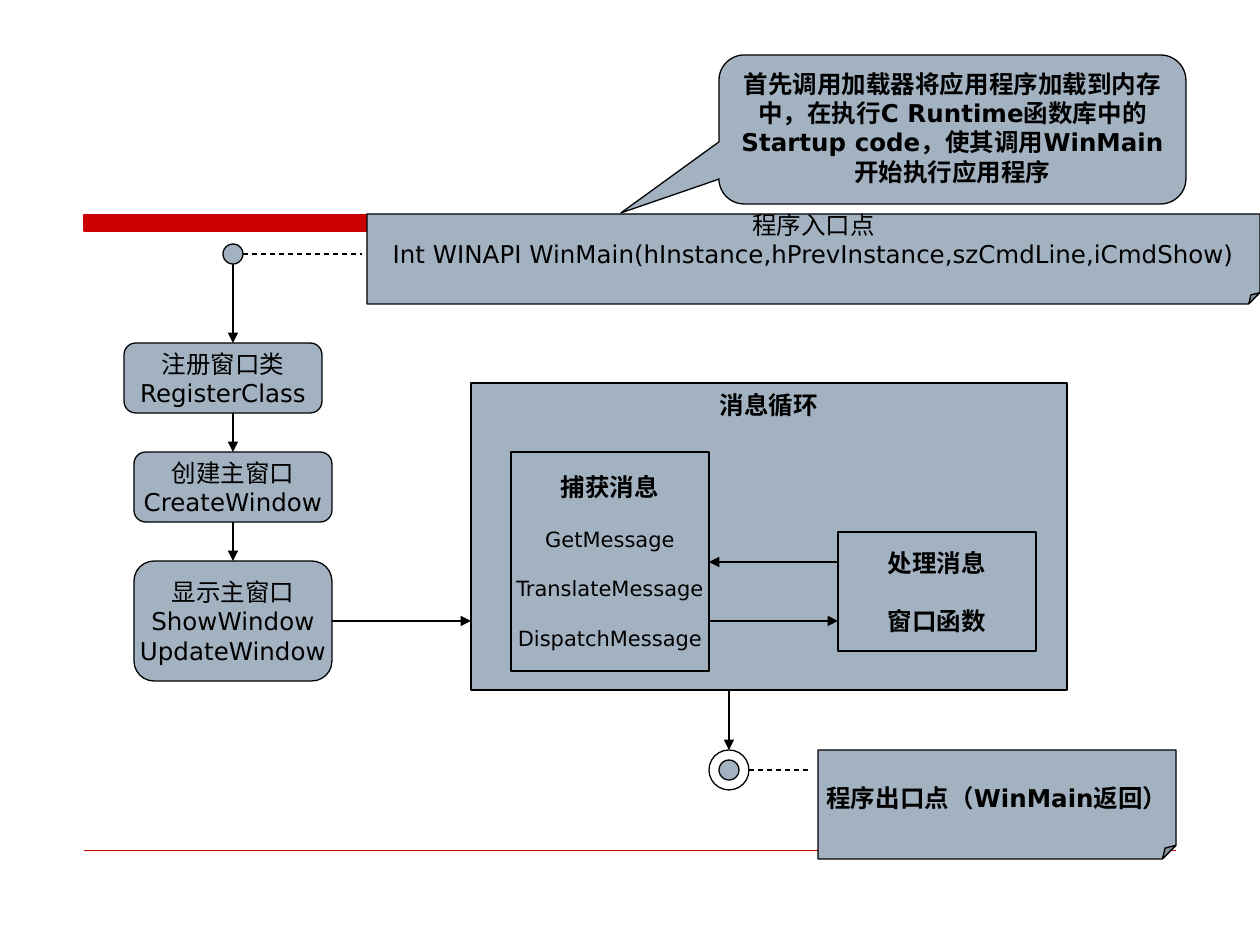
from lxml import etree
from pptx import Presentation
from pptx import util as u
from pptx.dml.color import RGBColor
from pptx.enum import dml, shapes, text
from pptx.oxml.ns import qn

SCALE = u.Inches(1) / 126
FONT = "DejaVu Sans"
COLORS = {"box": "A3B2C1", "ink": "000000", "accent": "CC0000"}
TITLE = {"size": u.Pt(14), "bold": True}
PLAIN = {"size": u.Pt(14), "bold": False}
CALL = {"size": u.Pt(12), "bold": False}
KIND = shapes.MSO_SHAPE
STEP = KIND.FLOWCHART_ALTERNATE_PROCESS


def px(value):
    return u.Emu(round(value * SCALE))


def color(name):
    return RGBColor.from_string(COLORS[name])


def set_line(line, name="ink", width=0.75):
    line.color.rgb = color(name)
    line.width = u.Pt(width)


def add_box(parent, kind, bounds, fill="box"):
    shape = parent.add_shape(kind, *map(px, bounds))
    shape.shadow.inherit = False
    if fill:
        shape.fill.solid()
        shape.fill.fore_color.rgb = color(fill)
    else:
        shape.fill.background()
    set_line(shape.line)
    return shape


def add_note(parent, bounds):
    note = add_box(parent, KIND.FOLDED_CORNER, bounds)
    geometry = note._element.spPr.find(qn("a:prstGeom"))
    adjustments = geometry.find(qn("a:avLst"))
    if adjustments is None:
        adjustments = etree.SubElement(geometry, qn("a:avLst"))
    etree.SubElement(adjustments, qn("a:gd"), name="adj", fmla="val 12500")
    return note


def write(shape, lines, gap=0, **frame_format):
    frame = shape.text_frame
    settings = {"word_wrap": False, "vertical_anchor": text.MSO_ANCHOR.MIDDLE}
    for name, value in {**settings, **frame_format}.items():
        setattr(frame, name, value)
    for index, (content, style) in enumerate(lines):
        paragraph = frame.add_paragraph() if index else frame.paragraphs[0]
        paragraph.alignment = text.PP_ALIGN.CENTER
        if index:
            paragraph.space_before = u.Pt(gap)
        run = paragraph.add_run()
        run.text = content
        run.font.name = FONT
        run.font.color.rgb = color("ink")
        for name, value in style.items():
            setattr(run.font, name, value)


def add_line(parent, start, end, arrow=False, dash=False, name="ink", width=0.75):
    connector = parent.add_connector(
        shapes.MSO_CONNECTOR.STRAIGHT, *map(px, start + end))
    set_line(connector.line, name, width)
    if dash:
        connector.line.dash_style = dml.MSO_LINE.DASH
    if arrow:
        etree.SubElement(connector.line._get_or_add_ln(), qn("a:tailEnd"), type="triangle")
    etree.SubElement(connector._element.spPr, qn("a:effectLst"))
    return connector


def add_rules(parent):
    builder = parent.build_freeform(84, 215, scale=SCALE)
    builder.add_line_segments([(725, 215), (725, 231), (84, 231)], close=True)
    builder.move_to(84, 215)
    builder.add_line_segments([(1181, 215)], close=False)
    bar = builder.convert_to_shape()
    bar.shadow.inherit = False
    bar.fill.solid()
    bar.fill.fore_color.rgb = color("accent")
    set_line(bar.line, "accent")
    add_line(parent, (84, 850), (1176, 850), name="accent", width=0.25)


def add_steps(parent):
    steps = [
        ((124, 343, 198, 70), ["注册窗口类", "RegisterClass"]),
        ((134, 452, 198, 70), ["创建主窗口", "CreateWindow"]),
        ((134, 561, 198, 120), ["显示主窗口", "ShowWindow", "UpdateWindow"]),
    ]
    boxes = []
    for bounds, lines in steps:
        box = add_box(parent, STEP, bounds)
        write(box, [(line, PLAIN) for line in lines])
        boxes.append(box)
    return boxes


def add_message_loop(parent):
    loop = add_box(parent, KIND.RECTANGLE, (471, 383, 596, 307))
    write(loop, [("消息循环", TITLE)],
          vertical_anchor=text.MSO_ANCHOR.TOP, margin_top=px(7))
    capture = add_box(parent, KIND.RECTANGLE, (511, 452, 198, 219))
    calls = ["GetMessage", "TranslateMessage", "DispatchMessage"]
    write(capture, [("捕获消息", TITLE)] + [(call, CALL) for call in calls], gap=14)
    handler = add_box(parent, KIND.RECTANGLE, (838, 532, 198, 119))
    write(handler, [("处理消息", TITLE), ("窗口函数", TITLE)], gap=16)


def add_notes(parent):
    entry = add_note(parent, (367, 214, 893, 90))
    signature = "Int WINAPI WinMain(hInstance,hPrevInstance,szCmdLine,iCmdShow)"
    write(entry, [("程序入口点", PLAIN), (signature, PLAIN)],
          margin_top=0, margin_bottom=px(28))
    leave = add_note(parent, (818, 750, 358, 109))
    write(leave, [("程序出口点（WinMain返回）", TITLE)])
    callout = add_box(parent, KIND.ROUNDED_RECTANGULAR_CALLOUT, (719, 55, 467, 149))
    for index, value in enumerate((-0.71, 0.56, 0.17)):
        callout.adjustments[index] = value
    loader = ("首先调用加载器将应用程序加载到内存中，在执行C Runtime函数库中的"
              "Startup code，使其调用WinMain开始执行应用程序")
    write(callout, [(loader, TITLE)], word_wrap=True,
          vertical_anchor=text.MSO_ANCHOR.TOP)


def add_terminals(parent):
    add_box(parent, KIND.FLOWCHART_CONNECTOR, (223, 244, 20, 20))
    group = parent.add_group_shape().shapes
    add_box(group, KIND.FLOWCHART_CONNECTOR, (719, 760, 20, 20))
    add_box(group, KIND.OVAL, (709, 750, 40, 40), fill=None)


def add_flow(parent, create, show):
    for start, end in [((243, 254), (362, 254)), ((749, 770), (809, 770))]:
        add_line(parent, start, end, dash=True)
    arrows = [
        ((233, 264), (233, 343)),
        ((838, 562), (709, 562)),
        ((709, 621), (838, 621)),
        ((729, 690), (729, 750)),
    ]
    for start, end in arrows:
        add_line(parent, start, end, arrow=True)
    to_create = add_line(parent, (233, 413), (233, 452), arrow=True)
    to_create.end_connect(create, 0)
    to_show = add_line(parent, (233, 522), (233, 561), arrow=True)
    to_show.begin_connect(create, 2)
    to_show.end_connect(show, 0)
    to_loop = add_line(parent, (332, 621), (471, 621), arrow=True)
    to_loop.begin_connect(show, 3)


def main():
    presentation = Presentation()
    presentation.slide_width, presentation.slide_height = px(1260), px(945)
    slide = presentation.slides.add_slide(presentation.slide_layouts[6])
    parent = slide.shapes
    add_rules(parent)
    register, create, show = add_steps(parent)
    add_message_loop(parent)
    add_notes(parent)
    add_terminals(parent)
    add_flow(parent, create, show)
    presentation.save("out.pptx")


if __name__ == "__main__":
    main()
